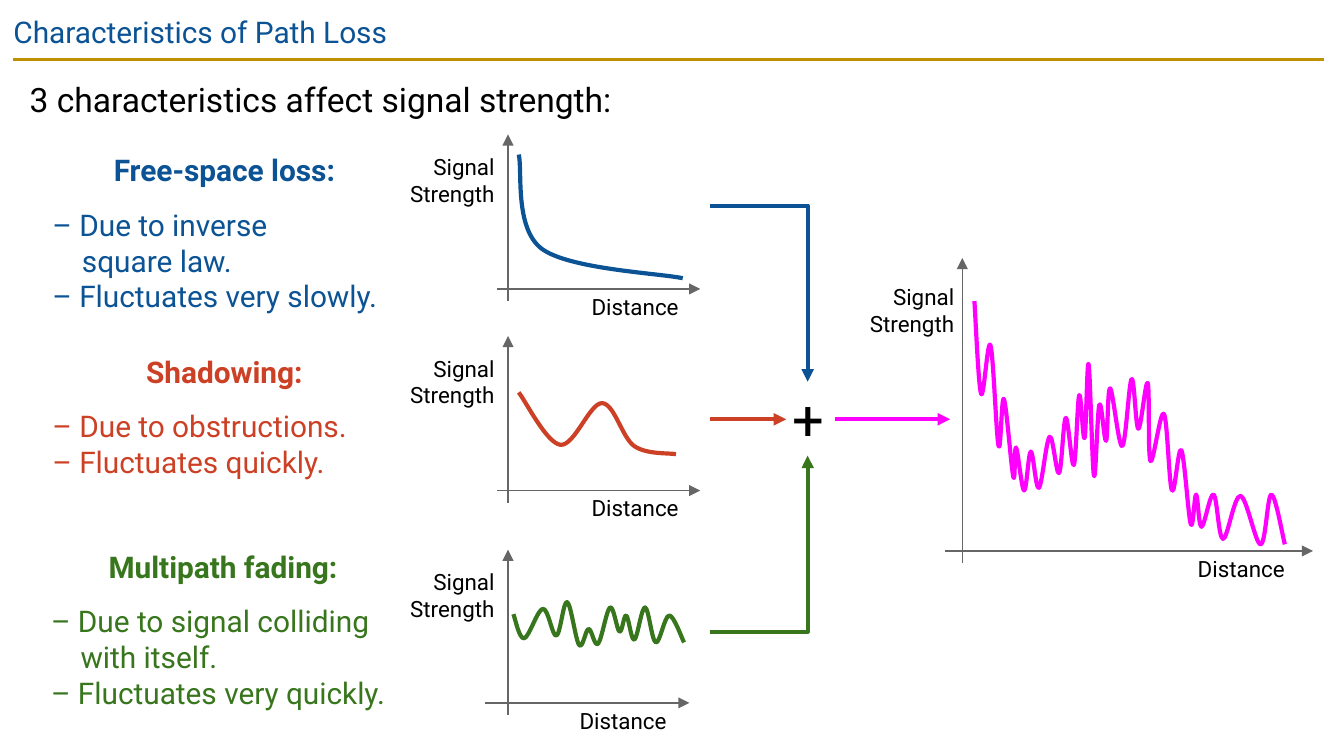
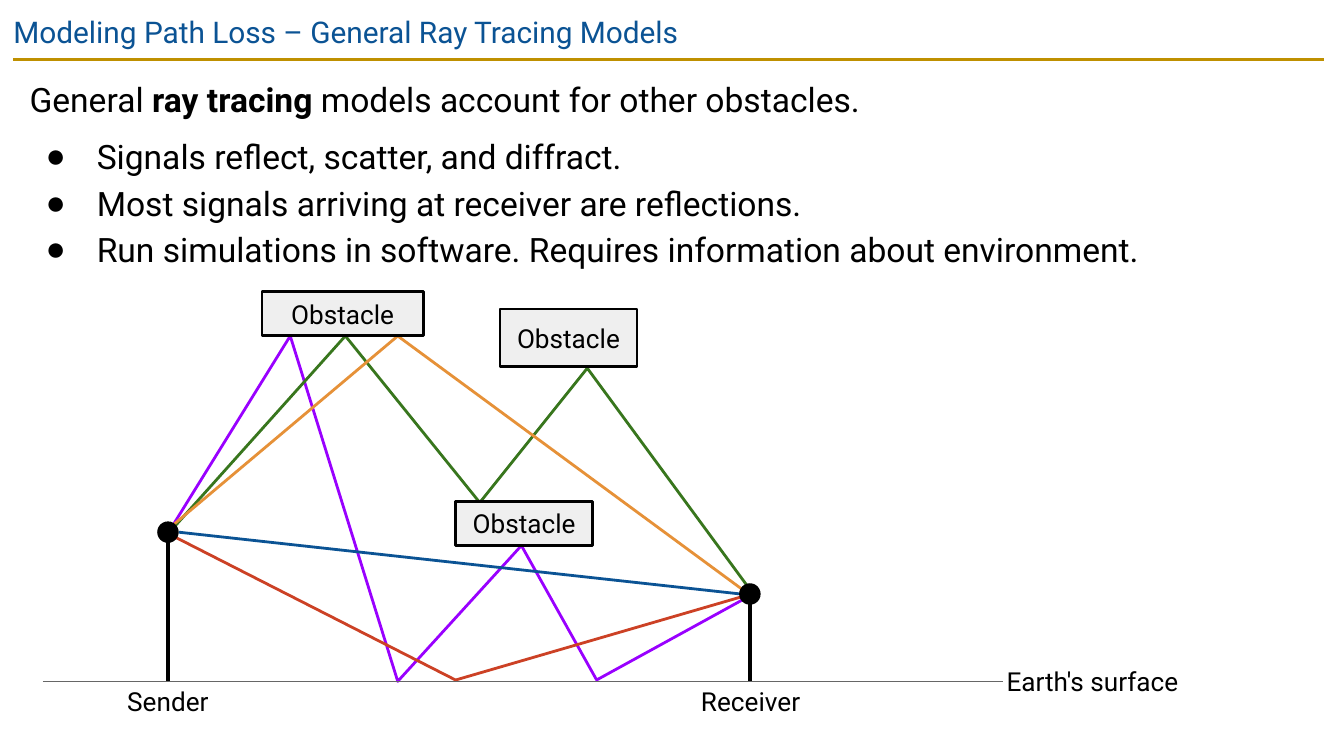
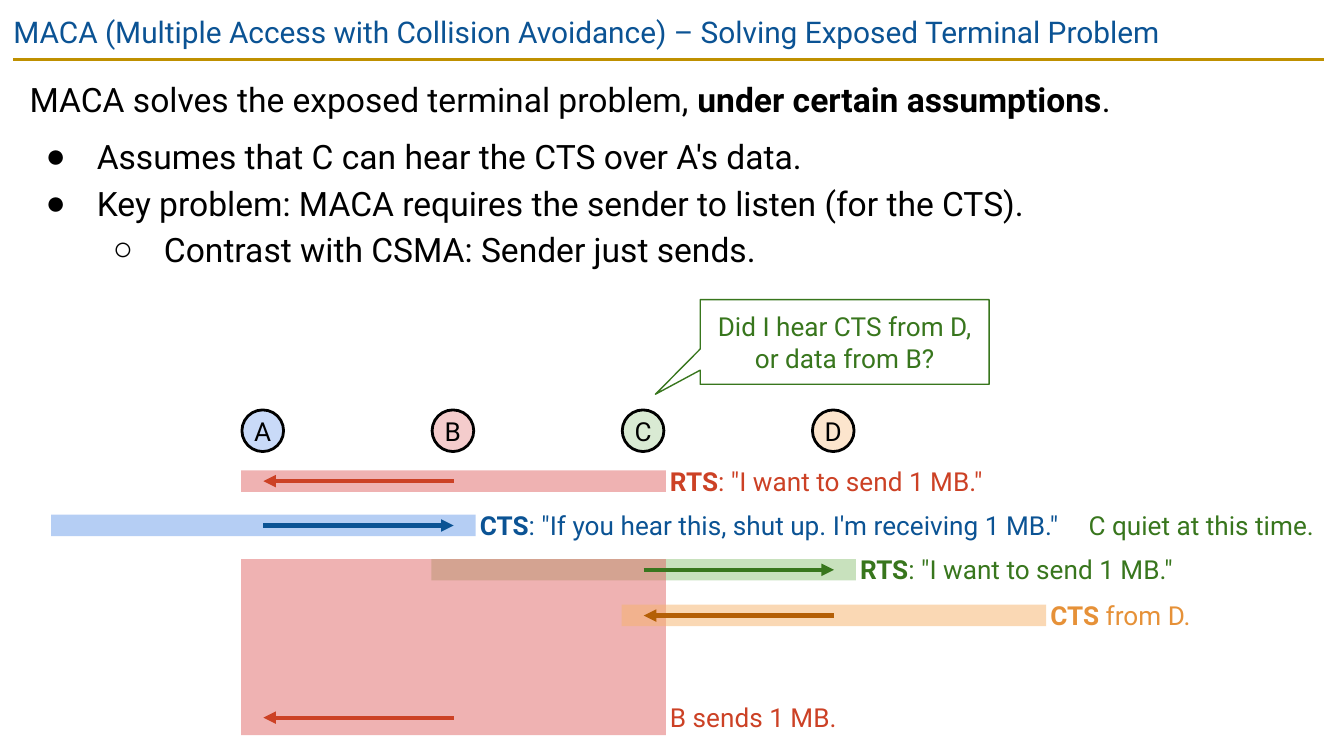
from pptx import Presentation
from pptx.dml.color import RGBColor
from pptx.enum.shapes import MSO_CONNECTOR as LINK, MSO_SHAPE as SHAPE
from pptx.enum.text import MSO_ANCHOR as ANCHOR, MSO_AUTO_SIZE as FIT, PP_ALIGN as ALIGN
from pptx.oxml.ns import qn
from pptx.util import Inches, Pt
from lxml.etree import SubElement

COLOURS = {
    "black": "000000", "white": "FFFFFF", "grey": "666666", "pale": "EFEFEF",
    "gold": "BF9000", "blue": "0B5394", "red": "CC4125", "green": "38761D",
    "orange": "E69138", "brown": "B45F06", "purple": "9900FF", "magenta": "FF00FF",
    "node A": "C9DAF8", "node B": "F4CCCC", "node C": "D9EAD3", "node D": "FCE5CD",
    "range A": "6D9EEB", "range B": "E06666", "range C": "93C47D", "range D": "F6B26B",
}
RGB = {name: RGBColor.from_string(value) for name, value in COLOURS.items()}
LEFT, CENTRE, RIGHT = ALIGN.LEFT, ALIGN.CENTER, ALIGN.RIGHT


def put(page, kind, area, paras=(), colour="black", size=14, inset=0.03,
        fill=None, line=None, width=1.5, alpha=None, anchor=ANCHOR.TOP):
    """Place a text box (kind None), a preset shape or a placeholder, with its text.

    Each paragraph is (text, format); ** switches bold on and off.
    """
    area = [Inches(value) for value in area]
    if kind is None:
        box = page.shapes.add_textbox(*area)
    elif kind in page.placeholders:
        box = kind
        box.left, box.top, box.width, box.height = area
    else:
        box = page.shapes.add_shape(kind, *area)
        box.shadow.inherit = False
        box.fill.solid()
        box.fill.fore_color.rgb = RGB[fill]
        if alpha:
            tone = box.element.spPr.find(".//" + qn("a:srgbClr"))
            SubElement(tone, qn("a:alpha"), val=str(alpha * 1000))
        if line:
            box.line.color.rgb = RGB[line]
            box.line.width = Pt(width)
        else:
            box.line.fill.background()

    frame = box.text_frame
    frame_format = {"word_wrap": True, "vertical_anchor": anchor,
                    "auto_size": FIT.SHAPE_TO_FIT_TEXT if kind is None else FIT.NONE}
    for side in ("left", "top", "right", "bottom"):
        frame_format["margin_" + side] = Inches(inset)
    for name, value in frame_format.items():
        setattr(frame, name, value)

    for number, (text, para_format) in enumerate(paras):
        para = frame.add_paragraph() if number else frame.paragraphs[0]
        settings = {"alignment": LEFT, "space_before": Pt(0), **para_format}
        bullet = settings.pop("bullet", None)
        margin, hang = settings.pop("indent", (0, 0))
        for name, value in settings.items():
            setattr(para, name, value)
        props = para._p.get_or_add_pPr()
        props.set("marL", str(Inches(margin)))
        props.set("indent", str(Inches(hang)))
        if bullet:
            SubElement(props, qn("a:buChar"), char=bullet)
        else:
            SubElement(props, qn("a:buNone"))
        for part, words in enumerate(text.split("**")):
            for row, words_in_row in enumerate(words.split("\n")):
                if row:
                    para.add_line_break()
                if not words_in_row:
                    continue
                span = para.add_run()
                span.text = words_in_row
                span_format = {"name": "Roboto", "size": Pt(size), "bold": part % 2 == 1}
                for name, value in span_format.items():
                    setattr(span.font, name, value)
                span.font.color.rgb = RGB[colour]
    return box


def stroke(page, points, colour, width, arrow=False, curved=False):
    """Draw a line through the points, with an arrowhead at the last if asked."""
    points = [(Inches(x), Inches(y)) for x, y in points]
    if len(points) == 2:
        path = page.shapes.add_connector(LINK.STRAIGHT, *points[0], *points[1])
    else:
        builder = page.shapes.build_freeform(*points[0])
        builder.add_line_segments(points[1:], close=False)
        path = builder.convert_to_shape()
        path.fill.background()
        path.shadow.inherit = False
    path.line.color.rgb = RGB[colour]
    path.line.width = Pt(width)
    props = path.element.spPr
    if arrow:
        SubElement(props.find(qn("a:ln")), qn("a:tailEnd"), type="triangle")
    if len(points) == 2:
        SubElement(props, qn("a:effectLst"))
    if curved:
        # Catmull-Rom spline: each tangent is parallel to the line between its neighbours
        spots = [(int(p.get("x")), int(p.get("y"))) for p in props.iter(qn("a:pt"))]
        spots = [spots[0], *spots, spots[-1]]
        for i, segment in enumerate(list(props.iter(qn("a:lnTo")))):
            before, start, end, after = spots[i:i + 4]
            handles = [[s + (e - b) // 6 for b, s, e in zip(before, start, end)],
                       [e - (a - s) // 6 for s, e, a in zip(start, end, after)]]
            segment.tag = qn("a:cubicBezTo")
            for place, (x, y) in enumerate(handles):
                handle = SubElement(segment, qn("a:pt"), x=str(x), y=str(y))
                segment.insert(place, handle)
    return path


# Deck, with the gold rule on the shared layout
deck = Presentation()
deck.slide_width, deck.slide_height = Inches(10), Inches(5.625)
layout = deck.slide_layouts[1]

lead = {"line_spacing": 1.15, "space_before": Pt(6)}
item = {"line_spacing": 1.15, "bullet": "●", "indent": (0.5, -0.38)}
first_item = {**item, "space_before": Pt(6)}
sub_item = {**item, "level": 1, "bullet": "○", "indent": (1, -0.38)}

contents = [
    ("Characteristics of Path Loss", 0.68,
     [("3 characteristics affect signal strength:", lead)]),
    ("Modeling Path Loss – General Ray Tracing Models", 1.73,
     [("General **ray tracing** models account for other obstacles.", lead),
      ("Signals reflect, scatter, and diffract.", first_item),
      ("Most signals arriving at receiver are reflections.", item),
      ("Run simulations in software. Requires information about environment.", item)]),
    ("MACA (Multiple Access with Collision Avoidance) – Solving Exposed Terminal Problem", 1.63,
     [("MACA solves the exposed terminal problem, **under certain assumptions**.", lead),
      ("Assumes that C can hear the CTS over A's data.", first_item),
      ("Key problem: MACA requires the sender to listen (for the CTS).", item),
      ("Contrast with CSMA: Sender just sends.", sub_item)]),
]
pages = []
for title, body_height, body in contents:
    page = deck.slides.add_slide(layout)
    put(page, page.shapes.title, (0, 0, 10, 0.43), [(title, {})], "blue", 16, 0.1)
    put(page, page.placeholders[1], (0.12, 0.44, 9.74, body_height), body, size=18, inset=0.1)
    pages.append(page)
loss_page, ray_page, maca_page = pages

rule = stroke(loss_page, [(0.1, 0.44), (9.85, 0.44)], "gold", 1.5)
layout.shapes.element.append(rule.element)

# Slide 1: the three causes
causes = [
    (0.36, 1.1, 1.28, "blue", "Free-space loss:",
     "– Due to inverse\nsquare law.", "– Fluctuates very slowly."),
    (0.36, 2.6, 1.01, "red", "Shadowing:",
     "– Due to obstructions.", "– Fluctuates quickly."),
    (0.35, 4.05, 1.28, "green", "Multipath fading:",
     "– Due to signal colliding\nwith itself.", "– Fluctuates very quickly."),
]
dash = {"indent": (0.22, -0.22)}
for left, top, height, colour, name, reason, speed in causes:
    put(loss_page, None, (left, top, 2.62, height),
        [(f"**{name}**", {"alignment": CENTRE}),
         (reason, {**dash, "space_before": Pt(10)}),
         (speed, {**dash, "space_after": Pt(10)})], colour, 16)

# Slide 1: signal strength plots
# axis x, axis top, base y, base left, base right, signal label, distance label x, colour, curve
plots = [
    (3.78, 1, 2.15, 3.7, 5.21, (2.86, 1.11), 4.23, "blue",
     [(3.86, 1.15), (4.03, 1.85), (5.08, 2.07)]),
    (3.78, 2.5, 3.65, 3.7, 5.21, (2.86, 2.61), 4.23, "red",
     [(3.86, 2.92), (4.17, 3.31), (4.48, 3), (4.72, 3.32), (5.03, 3.38)]),
    (3.78, 4.09, 5.23, 3.61, 5.13, (2.86, 4.2), 4.14, "green",
     [(3.82, 4.57), (3.9, 4.75), (4.04, 4.53), (4.14, 4.73), (4.22, 4.48), (4.31, 4.8),
      (4.38, 4.68), (4.45, 4.79), (4.54, 4.52), (4.61, 4.7), (4.66, 4.58), (4.72, 4.76),
      (4.8, 4.52), (4.88, 4.78), (4.98, 4.58), (5.09, 4.78)]),
    (7.16, 1.92, 4.1, 7.03, 9.77, (6.28, 2.08), 8.74, "magenta",
     [(7.25, 2.24), (7.3, 2.93), (7.37, 2.57), (7.43, 3.32), (7.47, 2.97), (7.54, 3.55),
      (7.56, 3.33), (7.62, 3.65), (7.67, 3.36), (7.73, 3.63), (7.81, 3.25), (7.88, 3.52),
      (7.93, 3.11), (7.99, 3.46), (8.03, 2.94), (8.07, 3.26), (8.1, 2.71), (8.14, 3.54),
      (8.18, 3.01), (8.23, 3.28), (8.26, 2.89), (8.35, 3.32), (8.42, 2.82), (8.47, 3.19),
      (8.54, 2.85), (8.56, 3.43), (8.66, 3.08), (8.72, 3.65), (8.79, 3.35), (8.86, 3.9),
      (8.9, 3.68), (8.94, 3.92), (9.03, 3.68), (9.1, 4.01), (9.23, 3.69), (9.38, 4.05),
      (9.46, 3.68), (9.56, 4.05)]),
]
for x, top, base, left, right, signal, distance, colour, curve in plots:
    stroke(loss_page, [(x, base + 0.09), (x, top)], "grey", 0.75, arrow=True)
    stroke(loss_page, [(left, base), (right, base)], "grey", 0.75, arrow=True)
    put(loss_page, None, (distance, base, 0.85, 0.26),
        [("Distance", {"alignment": RIGHT})], size=12)
    put(loss_page, None, (*signal, 0.85, 0.46),
        [("Signal Strength", {"alignment": RIGHT})], size=12)
    stroke(loss_page, curve, colour, 2.25, curved=True)

# Slide 1: arrows into and out of the sum
flows = [
    ("blue", [(5.28, 1.53), (6.01, 1.53), (6.01, 2.84)]),
    ("green", [(5.28, 4.7), (6.01, 4.7), (6.01, 3.39)]),
    ("red", [(5.28, 3.12), (5.85, 3.12)]),
    ("magenta", [(6.21, 3.12), (7.07, 3.12)]),
]
for colour, points in flows:
    stroke(loss_page, points, colour, 2.25, arrow=True)
plus = put(loss_page, None, (5.88, 2.97, 0.27, 0.28), [("+", {"alignment": CENTRE})],
           size=30, inset=0, anchor=ANCHOR.MIDDLE)
plus.text_frame.auto_size = FIT.NONE

# Slide 2: rays
rays = [
    ("purple", [(1.28, 3.92), (2.16, 2.5), (2.96, 5.07), (3.88, 4.06), (4.44, 5.06), (5.55, 4.45)]),
    ("green", [(1.28, 3.94), (2.57, 2.5), (3.57, 3.74), (4.37, 2.74), (5.59, 4.4)]),
    ("orange", [(1.26, 3.93), (2.96, 2.5), (5.57, 4.42)]),
    ("red", [(1.29, 3.99), (3.39, 5.06), (5.59, 4.42)]),
    ("blue", [(1.33, 3.96), (5.51, 4.42)]),
]
for colour, points in rays:
    stroke(ray_page, points, colour, 1.5)

# Slide 2: ground, antennas and obstacles
ground = 5.07
stroke(ray_page, [(0.32, ground), (7.46, ground)], "grey", 0.75)
put(ray_page, None, (7.46, 4.92, 1.37, 0.3), [("Earth's surface", {})])
for name, x, top, label_left, label_width in [("Sender", 1.25, 3.88, 0.63, 1.24),
                                              ("Receiver", 5.58, 4.34, 4.9, 1.37)]:
    stroke(ray_page, [(x, top + 0.12), (x, ground)], "black", 2.25)
    put(ray_page, SHAPE.OVAL, (x - 0.08, top, 0.16, 0.16), fill="black")
    put(ray_page, None, (label_left, ground, label_width, 0.3), [(name, {"alignment": CENTRE})])
for area in [(3.72, 2.3, 1.02, 0.43), (3.39, 3.73, 1.02, 0.33), (1.95, 2.17, 1.2, 0.33)]:
    put(ray_page, SHAPE.RECTANGLE, area, [("Obstacle", {"alignment": CENTRE})],
        inset=0.1, fill="pale", line="black", anchor=ANCHOR.MIDDLE)

# Slide 3: terminals, evenly spaced
centres = {name: 1.96 + 1.415 * i for i, name in enumerate("ABCD")}
for name, x in centres.items():
    put(maca_page, SHAPE.OVAL, (x - 0.16, 3.05, 0.31, 0.31), [(name, {"alignment": CENTRE})],
        inset=0, fill="node " + name, line="black", anchor=ANCHOR.MIDDLE)

# Slide 3: messages, each with a range centred on its sender
# sender, receiver, top, height, arrow y, arrow colour, label colour, label width, label
reach = 1.58
messages = [
    ("C", "D", 4.16, 0.16, 4.24, "green", "green", 2.39, '**RTS**: "I want to send 1 MB."'),
    ("B", "A", 3.5, 0.16, 3.58, "red", "red", 2.76, '**RTS**: "I want to send 1 MB."'),
    ("A", "B", 3.83, 0.16, 3.91, "blue", "blue", 4.41,
     '**CTS**: "If you hear this, shut up. I\'m receiving 1 MB."'),
    ("B", "A", 4.16, 1.31, 5.34, "red", "red", 1.34, "B sends 1 MB."),
    ("D", "C", 4.5, 0.16, 4.58, "brown", "orange", 1.19, "**CTS** from D."),
]
for sender, receiver, top, height, y, arrow_colour, colour, width, label in messages:
    x = centres[sender]
    put(maca_page, SHAPE.RECTANGLE, (x - reach, top, 2 * reach, height),
        fill="range " + sender, alpha=50)
    put(maca_page, None, (x + reach, y - 0.15, width, 0.3), [(label, {})], colour)
for sender, receiver, top, height, y, arrow_colour, *label in messages:
    stroke(maca_page, [(centres[sender], y), (centres[receiver], y)],
           arrow_colour, 2.25, arrow=True)

# Slide 3: what C hears
put(maca_page, None, (8.07, 3.76, 1.77, 0.3), [("C quiet at this time.", {})], "green")
callout = put(maca_page, SHAPE.ROUNDED_RECTANGULAR_CALLOUT, (5.21, 2.23, 2.15, 0.63),
              [("Did I hear CTS from D,\nor data from B?", {"alignment": CENTRE})],
              "green", inset=0.1, fill="white", line="green", width=0.75, anchor=ANCHOR.MIDDLE)
for i, value in enumerate((-0.655, 0.618, 0)):
    callout.adjustments[i] = value

deck.save("out.pptx")
